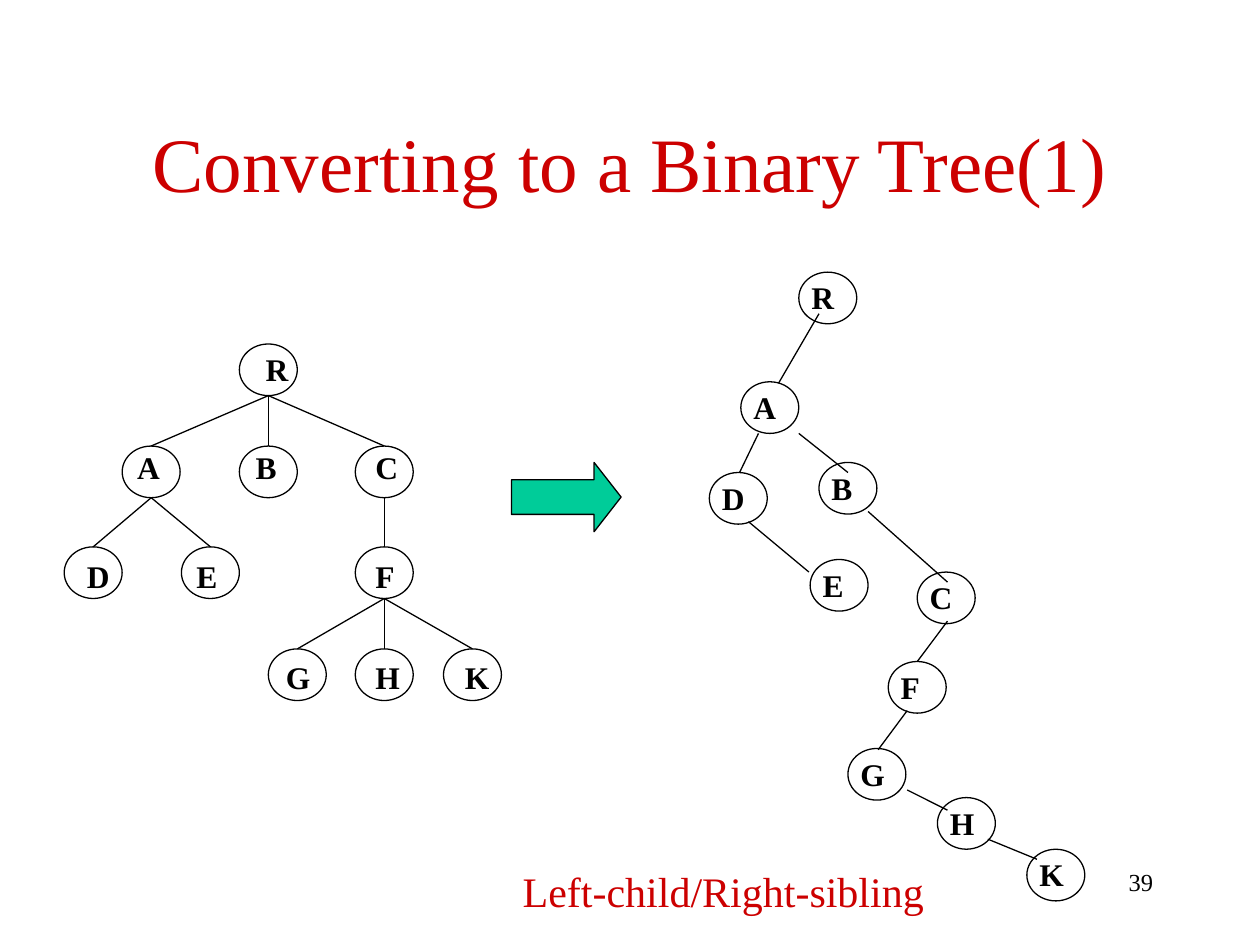
from lxml.etree import SubElement
from pptx import Presentation
from pptx.dml.color import RGBColor
from pptx.enum.shapes import MSO_CONNECTOR as CONN, MSO_SHAPE as SHAPE
from pptx.enum.text import MSO_ANCHOR as ANCHOR, MSO_AUTO_SIZE as FIT, PP_ALIGN as ALIGN
from pptx.oxml.ns import qn
from pptx.util import Pt

PX = 9144
BLACK = RGBColor(0x00, 0x00, 0x00)
WHITE = RGBColor(0xFF, 0xFF, 0xFF)
RED = RGBColor(0xCC, 0x00, 0x00)
GREEN = RGBColor(0x00, 0xCC, 0x99)

NODE_W, NODE_H = 46, 41
LABEL_H = 40
LABEL_W = {"A": 38, "B": 36, "C": 38, "D": 38, "E": 36,
           "F": 35, "G": 39, "H": 39, "K": 39, "R": 38}
TITLE_FONT = {"size": Pt(44), "color": RED}
CAPTION_FONT = {"size": Pt(24), "color": RED}
LABEL_FONT = {"size": Pt(18), "bold": True, "color": BLACK}
NUMBER_FONT = {"size": Pt(14), "color": BLACK}

ROWS = ((0, 0), (81, -3), (161, 3), (242, 2))
GENERAL_TREE = {
    "R": (139, 0, 11, None),
    "A": (46, 1, 2, "R"),
    "B": (139, 1, 3, "R"),
    "C": (231, 1, 6, "R"),
    "D": (0, 2, 8, "A"),
    "E": (93, 2, 2, "A"),
    "F": (231, 2, 6, "C"),
    "G": (162, 3, 4, "F"),
    "H": (231, 3, 6, "F"),
    "K": (301, 3, 7, "F"),
}
BINARY_TREE = {
    "R": (71, 0), "A": (25, 87), "D": (0, 159), "B": (87, 151), "E": (80, 228),
    "C": (165, 238), "F": (142, 309), "G": (110, 378), "H": (181, 417), "K": (252, 458),
}
BINARY_EDGES = (
    (87, 33, 55, 88), (39, 128, 24, 159), (71, 128, 110, 159),
    (126, 190, 189, 246), (31, 198, 79, 238), (189, 277, 165, 309),
    (157, 348, 134, 379), (157, 411, 189, 427), (221, 450, 260, 466),
)


def emu(*lengths):
    return [n * PX for n in lengths]


def add_text(shapes, text, box, fmt, align=ALIGN.LEFT, anchor=ANCHOR.TOP, wrap=False):
    tf = shapes.add_textbox(*emu(*box)).text_frame
    frame = {"word_wrap": wrap, "vertical_anchor": anchor,
             "auto_size": FIT.NONE if wrap else FIT.SHAPE_TO_FIT_TEXT}
    for name, value in frame.items():
        setattr(tf, name, value)
    p = tf.paragraphs[0]
    p.alignment = align
    r = p.add_run()
    r.text = text
    r.font.name = "Times New Roman"
    for name, value in fmt.items():
        if name == "color":
            r.font.color.rgb = value
        else:
            setattr(r.font, name, value)


def add_outlined(shapes, kind, box, fill):
    sp = shapes.add_shape(kind, *emu(*box))
    sp.shadow.inherit = False
    sp.fill.solid()
    sp.fill.fore_color.rgb = fill
    sp.line.color.rgb = BLACK
    sp.line.width = Pt(0.75)
    return sp


def add_node(shapes, letter, x, y, dx=0, dy=0):
    sp = add_outlined(shapes, SHAPE.OVAL, (x, y, NODE_W, NODE_H), WHITE)
    add_text(shapes, letter, (x + dx, y + dy, LABEL_W[letter], LABEL_H), LABEL_FONT)
    return sp


def add_edge(shapes, x1, y1, x2, y2):
    edge = shapes.add_connector(CONN.STRAIGHT, *emu(x1, y1, x2, y2))
    edge.line.color.rgb = BLACK
    edge.line.width = Pt(0.75)
    SubElement(edge._element.spPr, qn("a:effectLst"))
    return edge


def general_tree(s, left, top):
    nodes = {}
    for letter, (x, row, dx, parent) in GENERAL_TREE.items():
        y, dy = ROWS[row]
        nodes[letter] = add_node(s.shapes, letter, left + x, top + y, dx, dy)
        if parent:
            px, parent_row = GENERAL_TREE[parent][:2]
            edge = add_edge(s.shapes, left + px + NODE_W // 2,
                            top + ROWS[parent_row][0] + NODE_H,
                            left + x + NODE_W // 2, top + y)
            edge.end_connect(nodes[letter], 0)


def binary_tree(s, left, top):
    shapes = s.shapes.add_group_shape().shapes
    for letter, (x, y) in BINARY_TREE.items():
        add_node(shapes, letter, left + x, top + y)
    for x1, y1, x2, y2 in BINARY_EDGES:
        add_edge(shapes, left + x1, top + y1, left + x2, top + y2)


def conversion_arrow(s, left, top, width, height):
    sp = add_outlined(s.shapes, SHAPE.RIGHT_ARROW, (left, top, width, height), GREEN)
    sp.adjustments[0] = 0.5
    sp.adjustments[1] = 0.39


def main():
    prs = Presentation()
    prs.slide_width, prs.slide_height = emu(1000, 750)
    s = prs.slides.add_slide(prs.slide_layouts[6])
    add_text(s.shapes, "39", (717, 683, 208, 50), NUMBER_FONT, ALIGN.RIGHT, wrap=True)
    add_text(s.shapes, "Converting to a Binary Tree(1)", (75, 66, 850, 125),
             TITLE_FONT, ALIGN.CENTER, ANCHOR.MIDDLE, wrap=True)
    general_tree(s, 51, 273)
    binary_tree(s, 563, 216)
    conversion_arrow(s, 406, 367, 87, 55)
    add_text(s.shapes, "Left-child/Right-sibling", (405, 682, 345, 50),
             CAPTION_FONT, wrap=True)
    prs.save("out.pptx")


if __name__ == "__main__":
    main()
